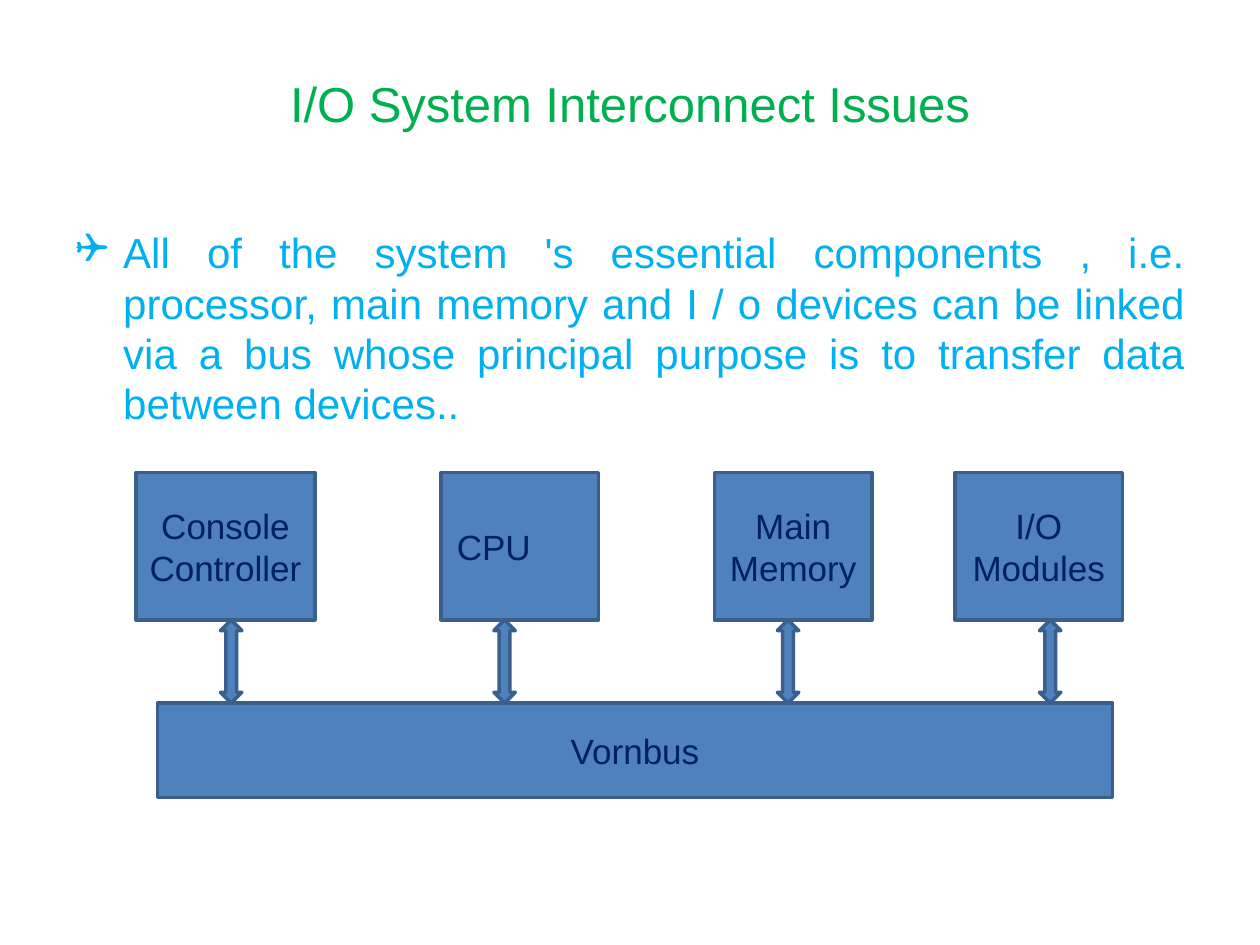
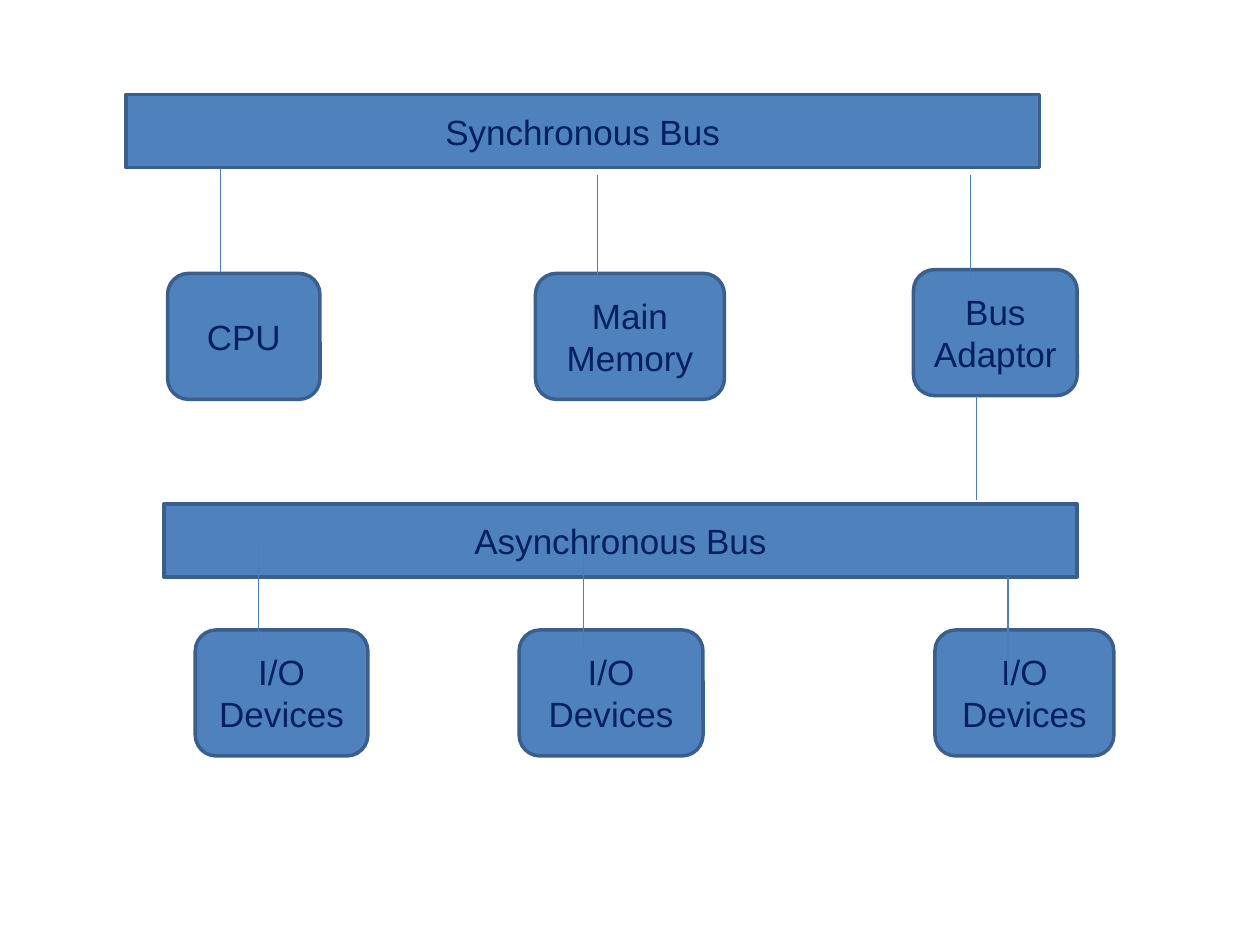
from lxml.etree import SubElement
from pptx import Presentation
from pptx.dml.color import RGBColor
from pptx.enum.shapes import MSO_CONNECTOR, MSO_SHAPE
from pptx.enum.text import MSO_ANCHOR, PP_ALIGN
from pptx.oxml.ns import qn
from pptx.util import Inches, Pt

FONT = "Arial"
GREEN = RGBColor(0x00, 0xB0, 0x50)
SKY = RGBColor(0x00, 0xB0, 0xF0)
NAVY = RGBColor(0x00, 0x20, 0x60)
BLUE = RGBColor(0x4F, 0x81, 0xBD)
EDGE = RGBColor(0x3A, 0x5F, 0x8C)
WIRE = RGBColor(0x4B, 0x7E, 0xBC)

TITLE = "I/O System Interconnect Issues"
BODY = (
    "All of the system 's essential components , i.e. processor, main memory "
    "and I / o devices can be linked via a bus whose principal purpose is to "
    "transfer data between devices.."
)

UNIT_TOP, UNIT_HEIGHT = 3.75, 1.17
SHARED_BUS_TOP = 5.58
ARROW_WIDTH = 0.17
SHARED_BUS_UNITS = [
    ("Console Controller", 1.08, 1.42, 1.75),
    ("CPU\t", 3.5, 1.25, 3.92),
    ("Main Memory", 5.67, 1.25, 6.17),
    ("I/O Modules", 7.58, 1.33, 8.25),
]

BUS_WIDTH, BUS_HEIGHT = 7.25, 0.58
BUSES = [("Synchronous Bus", 1, 0.75), ("Asynchronous Bus", 1.3, 4)]
NODE_HEIGHT = 1
NODES = [
    ("CPU", 1.33, 2.17, 1.21),
    ("Main Memory", 4.25, 2.17, 1.5),
    ("Bus Adaptor", 7.25, 2.14, 1.3),
    ("I/O Devices", 1.55, 5, 1.37),
    ("I/O Devices", 4.12, 5, 1.46),
    ("I/O Devices", 7.42, 5, 1.42),
]
WIRE_LENGTH = 0.83
WIRES = [
    (1.75, 1.33), (4.74, 1.39), (7.7, 1.39), (7.75, 3.14),
    (2.05, 4.29), (4.63, 4.34), (8, 4.58),
]


def write(frame, text, size, color, align):
    frame.word_wrap = True
    frame.text = text
    para = frame.paragraphs[0]
    para.alignment = align
    for span in para.runs:
        span.font.name = FONT
        span.font.size = Pt(size)
        span.font.color.rgb = color
    return para


def add_block(page, kind, left, top, width, height, text=""):
    box = page.shapes.add_shape(
        kind, Inches(left), Inches(top), Inches(width), Inches(height)
    )
    box.shadow.inherit = False
    box.fill.solid()
    box.fill.fore_color.rgb = BLUE
    box.line.color.rgb = EDGE
    box.line.width = Pt(2)
    if text:
        box.text_frame.vertical_anchor = MSO_ANCHOR.MIDDLE
        write(box.text_frame, text, 20, NAVY, PP_ALIGN.CENTER)


def add_wire(page, x, top):
    wire = page.shapes.add_connector(
        MSO_CONNECTOR.STRAIGHT,
        Inches(x), Inches(top), Inches(x), Inches(top + WIRE_LENGTH),
    )
    wire.line.color.rgb = WIRE
    wire.line.width = Pt(0.75)
    SubElement(wire._element.spPr, qn("a:effectLst"))


def add_title(page):
    title = page.shapes.title
    title.left, title.top = Inches(0.5), Inches(0.3)
    title.width, title.height = Inches(9), Inches(1.03)
    title.text_frame.vertical_anchor = MSO_ANCHOR.MIDDLE
    write(title.text_frame, TITLE, 28, GREEN, PP_ALIGN.CENTER)


def add_body(page):
    box = page.shapes.add_textbox(Inches(0.5), Inches(1.75), Inches(9), Inches(4.95))
    para = write(box.text_frame, BODY, 24, SKY, PP_ALIGN.JUSTIFY)
    props = para._p.get_or_add_pPr()
    props.set("marL", str(Inches(0.38)))
    props.set("indent", str(-Inches(0.38)))
    before = SubElement(props, qn("a:spcBef"))
    SubElement(before, qn("a:spcPct"), val="20000")
    SubElement(props, qn("a:buFont"), typeface="Wingdings")
    SubElement(props, qn("a:buChar"), char="❑")


def build_shared_bus(deck):
    page = deck.slides.add_slide(deck.slide_layouts[5])
    add_title(page)
    add_body(page)
    for text, left, width, _ in SHARED_BUS_UNITS:
        add_block(page, MSO_SHAPE.RECTANGLE, left, UNIT_TOP, width, UNIT_HEIGHT, text)
    add_block(page, MSO_SHAPE.RECTANGLE, 1.25, SHARED_BUS_TOP, 7.58, 0.75, "Vornbus")
    arrow_top = UNIT_TOP + UNIT_HEIGHT
    for *_, x in SHARED_BUS_UNITS:
        add_block(page, MSO_SHAPE.UP_DOWN_ARROW, x, arrow_top,
                  ARROW_WIDTH, SHARED_BUS_TOP - arrow_top)


def build_two_buses(deck):
    page = deck.slides.add_slide(deck.slide_layouts[6])
    for text, left, top in BUSES:
        add_block(page, MSO_SHAPE.RECTANGLE, left, top, BUS_WIDTH, BUS_HEIGHT, text)
    for text, left, top, width in NODES:
        add_block(page, MSO_SHAPE.ROUNDED_RECTANGLE, left, top, width, NODE_HEIGHT, text)
    for x, top in WIRES:
        add_wire(page, x, top)


def main():
    deck = Presentation()
    deck.slide_width, deck.slide_height = Inches(10), Inches(7.5)
    build_shared_bus(deck)
    build_two_buses(deck)
    deck.save("out.pptx")


if __name__ == "__main__":
    main()
